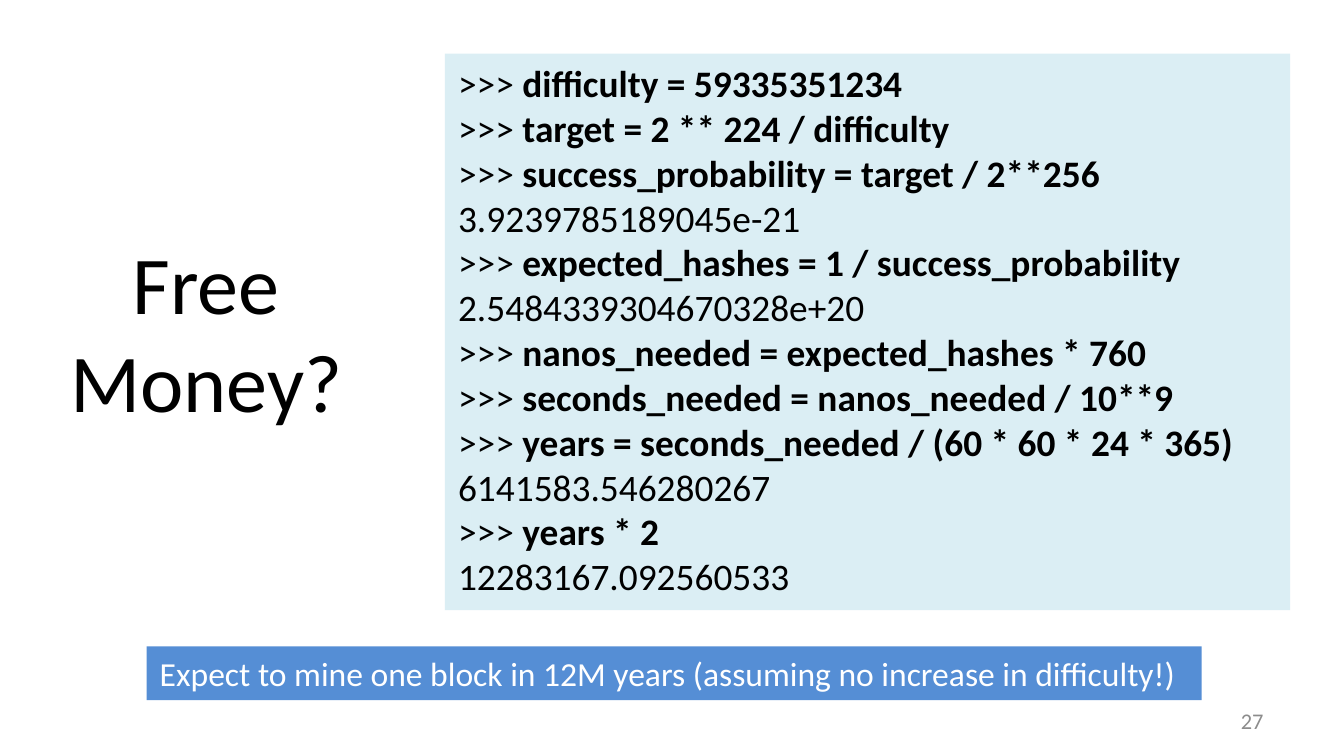
from pptx import Presentation
from pptx.dml.color import RGBColor
from pptx.enum.shapes import MSO_SHAPE
from pptx.enum.text import MSO_ANCHOR, PP_ALIGN
from pptx.util import Inches, Pt

RECT = MSO_SHAPE.RECTANGLE
TOP, MIDDLE = MSO_ANCHOR.TOP, MSO_ANCHOR.MIDDLE
LEFT, CENTER, RIGHT = PP_ALIGN.LEFT, PP_ALIGN.CENTER, PP_ALIGN.RIGHT

THEME = {
    "font": "Calibri",
    "title": {"size": 44, "color": "000000"},
    "session": {"size": 20, "color": "000000", "fill": "DBEEF4"},
    "takeaway": {"size": 18, "color": "FFFFFF", "fill": "558ED5"},
    "number": {"size": 12, "color": "8C8C8C"},
}

PROMPT = ">>> "
TITLE = "Free Money?"
SESSION = [
    ">>> difficulty = 59335351234",
    ">>> target = 2 ** 224 / difficulty",
    ">>> success_probability = target / 2**256",
    "3.9239785189045e-21",
    ">>> expected_hashes = 1 / success_probability",
    "2.5484339304670328e+20",
    ">>> nanos_needed = expected_hashes * 760",
    ">>> seconds_needed = nanos_needed / 10**9",
    ">>> years = seconds_needed / (60 * 60 * 24 * 365)",
    "6141583.546280267",
    ">>> years * 2",
    "12283167.092560533",
]
TAKEAWAY = "Expect to mine one block in 12M years (assuming no increase in difficulty!)"
NUMBER = "27"

# style, lines, (left, top, width, height), alignment, anchor
BLOCKS = [
    ("title", [TITLE], (0.38, 0.56, 2.31, 3.8), CENTER, MIDDLE),
    ("number", [NUMBER], (7.17, 5.21, 2.33, 0.3), RIGHT, MIDDLE),
    ("session", SESSION, (3.31, 0.4, 6.29, 4.14), LEFT, TOP),
    ("takeaway", [TAKEAWAY], (1.09, 4.81, 7.85, 0.4), LEFT, TOP),
]


def split_runs(line):
    """Return (text, bold) pairs: what follows a prompt is bold."""
    if line.startswith(PROMPT):
        return [(PROMPT, False), (line[len(PROMPT):], True)]
    return [(line, False)]


def add_block(s, style, lines, box, align, anchor):
    look = THEME[style]
    box = [Inches(v) for v in box]
    if "fill" in look:
        sp = s.shapes.add_shape(RECT, *box)
        sp.shadow.inherit = False
        sp.fill.solid()
        sp.fill.fore_color.rgb = RGBColor.from_string(look["fill"])
        sp.line.fill.background()
    else:
        sp = s.shapes.add_textbox(*box)
    tf = sp.text_frame
    tf.word_wrap = True
    tf.vertical_anchor = anchor
    for i, line in enumerate(lines):
        p = tf.add_paragraph() if i else tf.paragraphs[0]
        p.alignment = align
        for text, bold in split_runs(line):
            r = p.add_run()
            r.text = text
            font = {"name": THEME["font"], "size": Pt(look["size"]), "bold": bold}
            for key, value in font.items():
                setattr(r.font, key, value)
            r.font.color.rgb = RGBColor.from_string(look["color"])


def main():
    prs = Presentation()
    prs.slide_width = Inches(10)
    prs.slide_height = prs.slide_width * 9 // 16
    s = prs.slides.add_slide(prs.slide_layouts[6])
    for block in BLOCKS:
        add_block(s, *block)
    prs.save("out.pptx")


if __name__ == "__main__":
    main()
